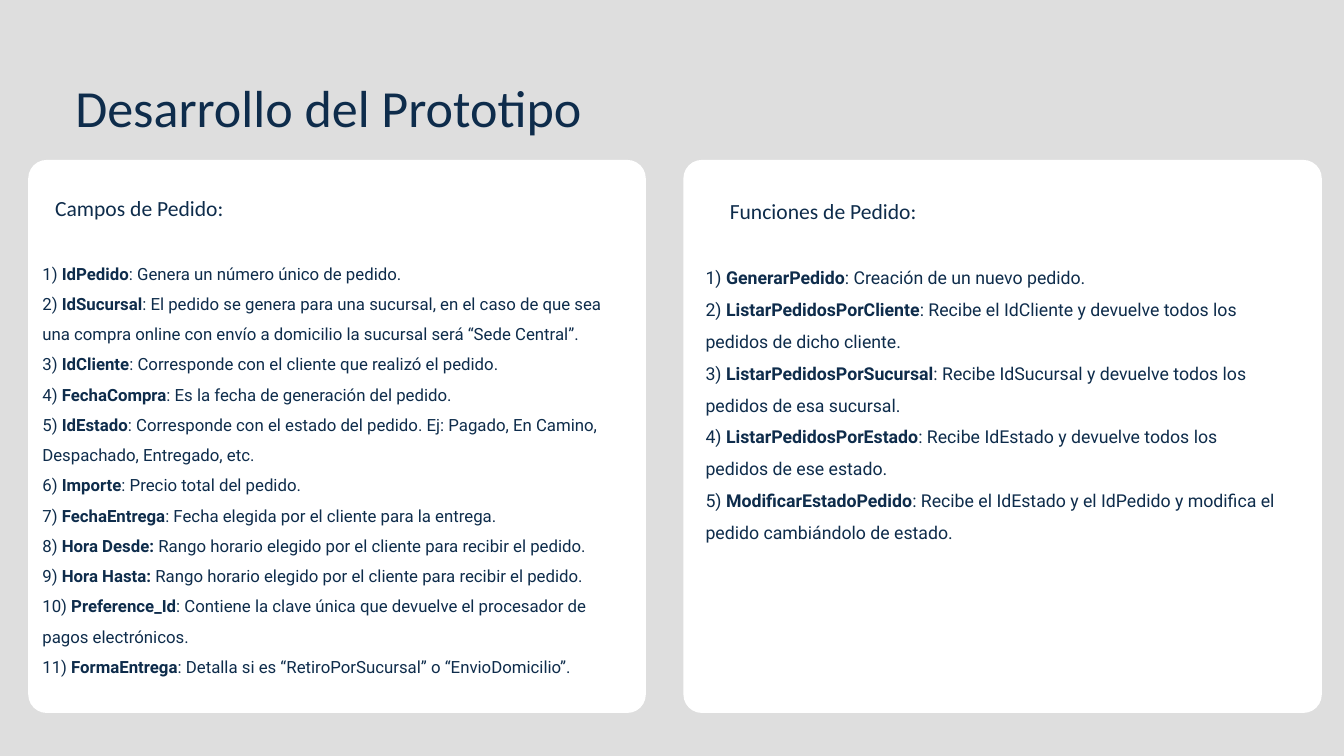
from dataclasses import dataclass

from pptx import Presentation
from pptx.dml.color import RGBColor as Color
from pptx.enum.shapes import MSO_SHAPE as Preset
from pptx.enum.text import MSO_AUTO_SIZE as AutoSize
from pptx.util import Inches, Pt


@dataclass(frozen=True)
class Theme:
    backdrop: Color = Color.from_string("DEDEDE")
    card: Color = Color.from_string("FFFFFF")
    ink: Color = Color.from_string("0E2C4B")
    heading_font: str = "Calibri"
    body_font: str = "Roboto"
    title_size: float = 55.8
    title_leading: float = 66.9
    heading_size: float = 23.1
    heading_leading: float = 32.4
    fields_size: float = 18
    functions_size: float = 19
    body_leading: float = 1.5


theme = Theme()

deck = Presentation()
deck.slide_width = Inches(20)
deck.slide_height = Inches(11.25)
column = deck.slide_width / 200
row = deck.slide_height / 112.5

page = deck.slides.add_slide(deck.slide_layouts[6])
page.background.fill.solid()
page.background.fill.fore_color.rgb = theme.backdrop


def place(left, top, width, height):
    return round(left * column), round(top * row), round(width * column), round(height * row)


def add_text(area, paragraphs, font_name, size, leading):
    frame = page.shapes.add_textbox(*place(*area)).text_frame
    frame.margin_left = frame.margin_top = frame.margin_right = frame.margin_bottom = 0
    frame.word_wrap = True
    frame.auto_size = AutoSize.SHAPE_TO_FIT_TEXT
    for index, spans in enumerate(paragraphs):
        para = frame.add_paragraph() if index else frame.paragraphs[0]
        para.line_spacing = leading
        para.font.name = font_name
        para.font.size = Pt(size)
        para.font.color.rgb = theme.ink
        for text, bold in spans:
            span = para.add_run()
            span.text = text
            if bold:
                span.font.bold = True


fields = [
    ("IdPedido", ": Genera un número único de pedido."),
    ("IdSucursal", ": El pedido se genera para una sucursal, en el caso de que sea una compra online "
     "con envío a domicilio la sucursal será “Sede Central”."),
    ("IdCliente", ": Corresponde con el cliente que realizó el pedido."),
    ("FechaCompra", ": Es la fecha de generación del pedido."),
    ("IdEstado", ": Corresponde con el estado del pedido. Ej: Pagado, En Camino, Despachado, "
     "Entregado, etc."),
    ("Importe", ": Precio total del pedido."),
    ("FechaEntrega", ": Fecha elegida por el cliente para la entrega."),
    ("Hora Desde: ", "Rango horario elegido por el cliente para recibir el pedido."),
    ("Hora Hasta: ", "Rango horario elegido por el cliente para recibir el pedido."),
    ("Preference_Id", ": Contiene la clave única que devuelve el procesador de pagos electrónicos."),
    ("FormaEntrega", ": Detalla si es “RetiroPorSucursal” o “EnvioDomicilio”."),
]

functions = [
    ("GenerarPedido", ": Creación de un nuevo pedido."),
    ("ListarPedidosPorCliente", ": Recibe el IdCliente y devuelve todos los pedidos de dicho cliente."),
    ("ListarPedidosPorSucursal", ": Recibe IdSucursal y devuelve todos los pedidos de esa sucursal."),
    ("ListarPedidosPorEstado", ": Recibe IdEstado y devuelve todos los pedidos de ese estado."),
    ("ModificarEstadoPedido", ": Recibe el IdEstado y el IdPedido y modifica el pedido cambiándolo "
     "de estado."),
]

card_top, card_height, corner = 23.8, 82.3, 2.75

cards = [
    (4.2, 91.9, "Campos de Pedido:", (8.2, 28.4, 85.8, 4.5),
     fields, (6.3, 37.7, 87.8, 63.1), theme.fields_size),
    (101.7, 95, "Funciones de Pedido:", (108.6, 28.8, 84.7, 4.1),
     functions, (105, 38.1, 84.7, 43.2), theme.functions_size),
]

add_text((11.2, 11.2, 132.2, 9.3), [[("Desarrollo del Prototipo", False)]],
         theme.heading_font, theme.title_size, Pt(theme.title_leading))

for left, width, heading, heading_area, entries, list_area, list_size in cards:
    card = page.shapes.add_shape(Preset.ROUNDED_RECTANGLE, *place(left, card_top, width, card_height))
    card.adjustments[0] = corner / card_height
    card.shadow.inherit = False
    card.fill.solid()
    card.fill.fore_color.rgb = theme.card
    card.line.fill.background()

    add_text(heading_area, [[(heading, False)]],
             theme.heading_font, theme.heading_size, Pt(theme.heading_leading))
    numbered = [[(f"{number}) ", False), (name, True), (detail, False)]
                for number, (name, detail) in enumerate(entries, start=1)]
    add_text(list_area, numbered, theme.body_font, list_size, theme.body_leading)

deck.save("out.pptx")
